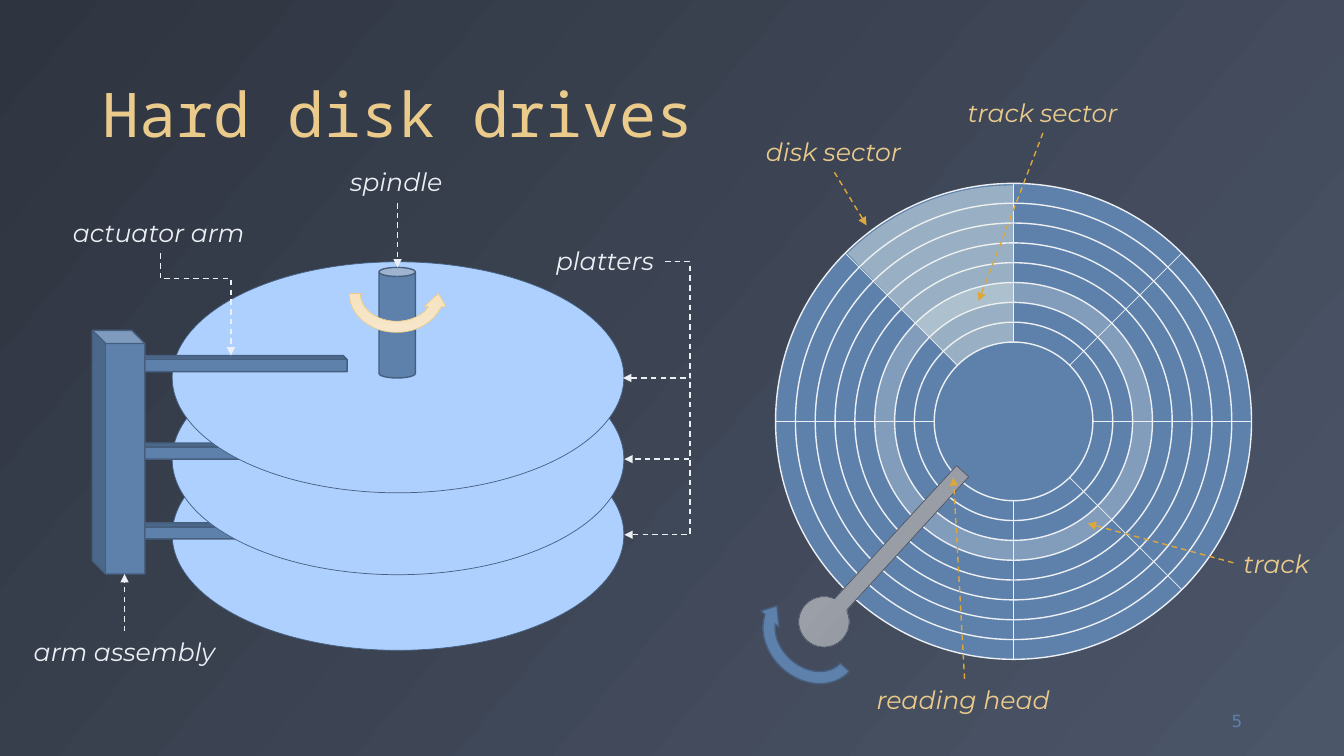
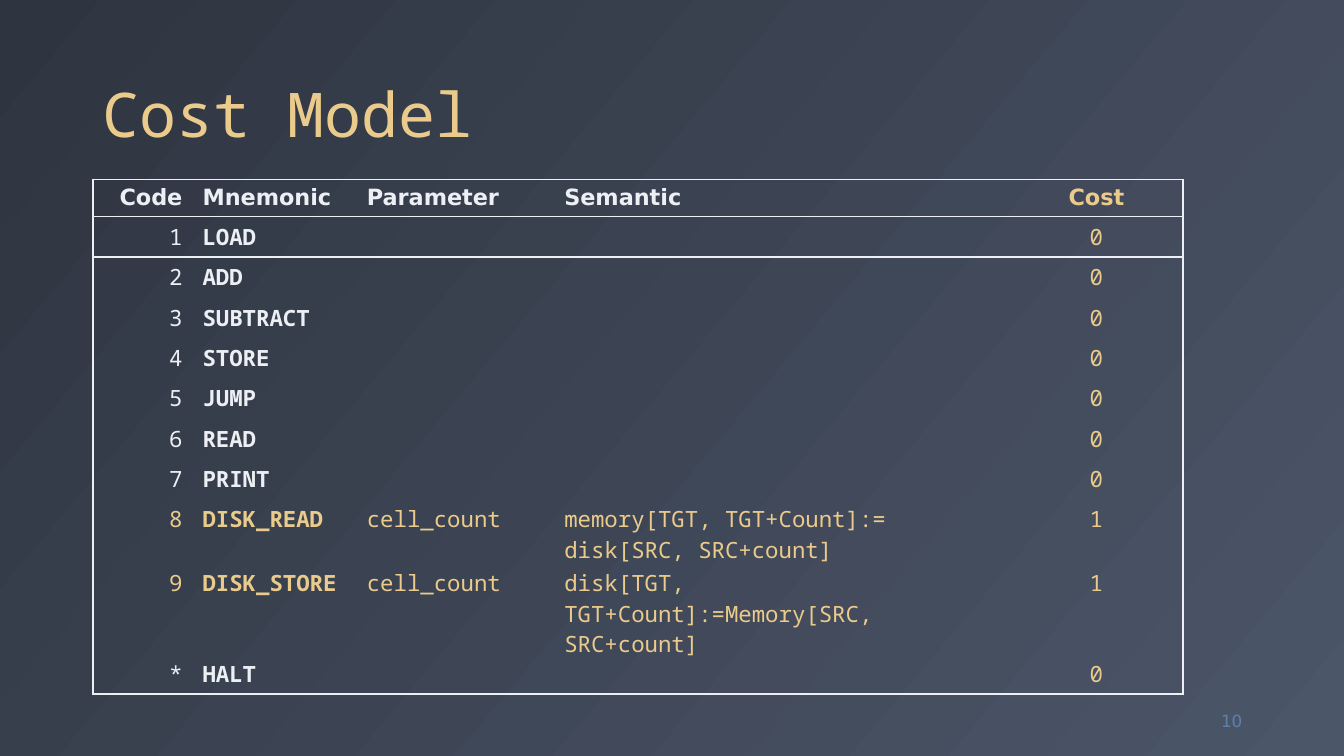
from math import cos, radians, sin

from lxml.etree import SubElement
from pptx import Presentation
from pptx.dml.color import RGBColor
from pptx.enum.dml import MSO_LINE
from pptx.enum.shapes import MSO_CONNECTOR as Connector, MSO_SHAPE as Preset
from pptx.enum.text import MSO_ANCHOR as Anchor, MSO_AUTO_SIZE as AutoSize, PP_ALIGN as Align
from pptx.oxml.ns import qn
from pptx.util import Pt

COLORS = {
    "night": "2E3440", "slate": "4C5669", "snow": "ECEFF3", "gold": "EBCB8B",
    "amber": "DDA73B", "blue": "5E81AC", "navy": "465F7F", "platter": "AED0FF",
    "mist": "EDF2E8", "cream": "F7E7CB", "sand": "F4DDB1",
    "silver": "A8ABB2", "steel": "8A8F99",
}
TITLE_FONT = CODE_FONT = "Noto Sans Mono"
PLAIN_FONT = "DejaVu Sans"
LABEL_FONT = "Montserrat"
NO_TABLE_STYLE = "{2D5ABB26-0587-4C30-8999-92F81FD0307C}"

LABELS = [
    ("spindle", 243, 115, 81, "snow"),
    ("arm assembly", 17, 451, 146, "snow"),
    ("actuator arm", 45, 152, 139, "snow"),
    ("platters", 390, 172, 86, "snow"),
    ("disk sector", 540, 94, 112, "gold"),
    ("track", 881, 388, 63, "gold"),
    ("track sector", 684, 66, 123, "gold"),
    ("reading head", 619, 485, 140, "gold"),
]
ARROWS = [
    ((284, 145), (284, 191), "snow"),
    ((89, 451), (89, 410), "snow"),
    ((596, 123), (619, 161), "amber"),
    ((881, 402), (777, 374), "amber"),
    ((745, 95), (699, 215), "amber"),
    ((689, 485), (681, 341), "amber"),
]
PLATTERS = [(299.5, 297.5), (245.5, 240.5), (187, 178)]  # platter top, arm top
PLATTER_TIPS = [(445, 270), (446, 328), (446, 382)]

DISK_CENTER = (724, 301)
DISK_RADIUS = 170
RING_STEP = DISK_RADIUS / 12
RING_COUNT = 8
TRACK_RING = 5
HUB_RADIUS = DISK_RADIUS - RING_COUNT * RING_STEP

HEADERS = ["Code", "Mnemonic", "Parameter", "Semantic", "Cost"]
INSTRUCTIONS = [
    *[(str(code), name, "", "", "0") for code, name in enumerate(
        ["LOAD", "ADD", "SUBTRACT", "STORE", "JUMP", "READ", "PRINT"], start=1)],
    ("8", "DISK_READ", "cell_count", "memory[TGT, TGT+Count]:= disk[SRC, SRC+count]", "1"),
    ("9", "DISK_STORE", "cell_count", "disk[TGT, TGT+Count]:=Memory[SRC, SRC+count]", "1"),
    ("*", "HALT", "", "", "0"),
]
COLUMN_WIDTHS = [71.3, 117.4, 141, 325.4, 123.8]
COLUMN_ALIGNS = [Align.RIGHT, Align.LEFT, Align.LEFT, Align.LEFT, Align.CENTER]


def rgb(name):
    return RGBColor.from_string(COLORS[name])


def fill_gradient(fill, first, last, clockwise):
    fill.gradient()
    fill.gradient_angle = (360 - clockwise) % 360
    for stop, name in zip(fill.gradient_stops, (first, last)):
        stop.color.rgb = rgb(name)


def add_run(paragraph, text, font, size, color, bold=False, italic=False):
    run = paragraph.add_run()
    run.text = text
    run.font.name = font
    run.font.size = Pt(size)
    run.font.bold = bold
    run.font.italic = italic
    run.font.color.rgb = rgb(color)


def set_line(shape, color, width):
    if color is None:
        shape.line.fill.background()
    else:
        shape.line.color.rgb = rgb(color)
        shape.line.width = Pt(width)


def add_preset(slide, preset, left, top, width, height, fill="blue", line="navy",
               line_width=1, rotation=0, alpha=None, flip_vertical=False):
    """Add a preset shape; alpha is the opacity of its fill in percent."""
    shape = slide.shapes.add_shape(preset, Pt(left), Pt(top), Pt(width), Pt(height))
    shape.shadow.inherit = False
    shape.rotation = rotation
    shape.fill.solid()
    shape.fill.fore_color.rgb = rgb(fill)
    set_line(shape, line, line_width)
    properties = shape._element.spPr
    if alpha is not None:
        color = properties.find(qn("a:solidFill")).find(qn("a:srgbClr"))
        SubElement(color, qn("a:alpha")).set("val", str(alpha * 1000))
    if flip_vertical:
        properties.find(qn("a:xfrm")).set("flipV", "1")
    return shape


def add_circle(slide, center, radius, **style):
    x, y = center
    return add_preset(slide, Preset.OVAL, x - radius, y - radius,
                      2 * radius, 2 * radius, **style)


def add_line(slide, start, end, color, width, kind=Connector.STRAIGHT):
    connector = slide.shapes.add_connector(
        kind, Pt(start[0]), Pt(start[1]), Pt(end[0]), Pt(end[1]))
    set_line(connector, color, width)
    SubElement(connector._element.spPr, qn("a:effectLst"))
    return connector


def add_arrow(slide, start, end, color, kind=Connector.STRAIGHT):
    connector = add_line(slide, start, end, color, 1, kind)
    connector.line.dash_style = MSO_LINE.DASH
    line = connector._element.spPr.find(qn("a:ln"))
    SubElement(line, qn("a:tailEnd")).set("type", "triangle")
    return connector


def set_bend(connector, fraction):
    """Place the middle leg of an elbow at a fraction of its length."""
    geometry = connector._element.spPr.find(qn("a:prstGeom"))
    values = geometry.find(qn("a:avLst"))
    if values is None:
        values = SubElement(geometry, qn("a:avLst"))
    guide = SubElement(values, qn("a:gd"))
    guide.set("name", "adj1")
    guide.set("fmla", f"val {round(fraction * 100000)}")


def add_side_elbow(slide, start, end, bend_x):
    connector = add_arrow(slide, start, end, "snow", Connector.ELBOW)
    set_bend(connector, (bend_x - start[0]) / (end[0] - start[0]))


def add_down_elbow(slide, start, end, bend_y):
    """Add an elbow that leaves and arrives vertically: a turned, mirrored one."""
    center_x, center_y = (start[0] + end[0]) / 2, (start[1] + end[1]) / 2
    half_x, half_y = (end[0] - start[0]) / 2, (end[1] - start[1]) / 2
    connector = add_arrow(slide, (center_x + half_y, center_y - half_x),
                          (center_x - half_y, center_y + half_x), "snow", Connector.ELBOW)
    connector._element.spPr.find(qn("a:xfrm")).set("rot", str(270 * 60000))
    set_bend(connector, (bend_y - start[1]) / (end[1] - start[1]))


def add_label(slide, text, left, top, width, color):
    box = slide.shapes.add_textbox(Pt(left), Pt(top), Pt(width), Pt(29))
    frame = box.text_frame
    frame.word_wrap = False
    frame.auto_size = AutoSize.SHAPE_TO_FIT_TEXT
    add_run(frame.paragraphs[0], text, LABEL_FONT, 18, color, italic=True)


def add_page_number(slide, number):
    frame = slide.shapes.add_textbox(Pt(834.5), Pt(500.4), Pt(60), Pt(29)).text_frame
    frame.word_wrap = True
    frame.vertical_anchor = Anchor.MIDDLE
    paragraph = frame.paragraphs[0]
    paragraph.alignment = Align.RIGHT
    add_run(paragraph, str(number), PLAIN_FONT, 12, "blue")


def prepare_layout(presentation):
    """Give the master its background and the layout its title place."""
    fill_gradient(presentation.slide_master.background.fill, "night", "slate", 40)
    layout = presentation.slide_layouts.get_by_name("Title Only")
    title = layout.placeholders[0]
    title.left, title.top, title.width, title.height = Pt(66), Pt(13), Pt(828), Pt(98)
    title.text_frame.vertical_anchor = Anchor.BOTTOM
    return layout


def add_titled_slide(presentation, layout, title, number):
    slide = presentation.slides.add_slide(layout)
    frame = slide.shapes.title.text_frame
    frame.auto_size = AutoSize.NONE
    paragraph = frame.paragraphs[0]
    paragraph.alignment = Align.LEFT
    paragraph.line_spacing = 0.9
    add_run(paragraph, title, TITLE_FONT, 44, "gold")
    add_page_number(slide, number)
    return slide


def draw_platter_stack(slide):
    for platter_top, arm_top in PLATTERS:
        add_preset(slide, Preset.OVAL, 123, platter_top, 322.6, 165,
                   fill="platter", line_width=0.5)
        add_preset(slide, Preset.CUBE, 160.5, arm_top, 11.5, 163.4, rotation=270)
    add_preset(slide, Preset.CAN, 270.7, 191, 26, 79)
    add_preset(slide, Preset.CUBE, 66, 236, 37.5, 174, rotation=180, flip_vertical=True)
    spin = add_preset(slide, Preset.CIRCULAR_ARROW, 245.5, 178, 75.6, 63.4,
                      line="gold", line_width=0.5, flip_vertical=True)
    fill_gradient(spin.fill, "cream", "sand", 90)


def draw_disk(slide):
    center_x, center_y = DISK_CENTER
    for ring in range(RING_COUNT):
        track = {"fill": "mist", "alpha": 25} if ring == TRACK_RING else {}
        add_circle(slide, DISK_CENTER, DISK_RADIUS - ring * RING_STEP, line="snow", **track)
    for degrees in range(0, 360, 45):
        across, down = cos(radians(degrees)), sin(radians(degrees))
        inner, outer = [(center_x + radius * across, center_y + radius * down)
                        for radius in (HUB_RADIUS, DISK_RADIUS)]
        add_line(slide, inner, outer, "snow", 0.5)
    sector = add_preset(slide, Preset.PIE, 555, 132.5, 337, 340,
                        fill="mist", line=None, alpha=41)
    sector.adjustments[0] = 135.49
    sector.adjustments[1] = 162
    add_circle(slide, DISK_CENTER, HUB_RADIUS, line="snow")


def draw_reading_head(slide):
    pivot_x, pivot_y, radius = 588.6, 444.2, 18
    outline = [(683.3, 332.6), (692, 340.6), (605, 435.6)]
    outline += [(pivot_x + radius * cos(radians(degrees)),
                 pivot_y + radius * sin(radians(degrees)))
                for degrees in range(-23, 290, 8)]
    outline.append((596.2, 427.7))
    points = [(Pt(x), Pt(y)) for x, y in outline]
    builder = slide.shapes.build_freeform(*points[0])
    builder.add_line_segments(points[1:], close=True)
    head = builder.convert_to_shape()
    head.shadow.inherit = False
    fill_gradient(head.fill, "silver", "steel", 42)
    set_line(head, "slate", 0.5)
    add_preset(slide, Preset.CIRCULAR_ARROW, 537.8, 419.8, 82.8, 69.8, rotation=222.2)


def set_borders(cell, sides):
    properties = cell._tc.get_or_add_tcPr()
    for side in "LRTB":
        if side in sides:
            line = SubElement(properties, qn(f"a:ln{side}"), w=str(Pt(1.5)))
            color = SubElement(SubElement(line, qn("a:solidFill")), qn("a:srgbClr"))
            color.set("val", COLORS["snow"])


def draw_cost_table(slide):
    rows = [HEADERS, *INSTRUCTIONS]
    last_row, last_column = len(rows) - 1, len(HEADERS) - 1
    table = slide.shapes.add_table(
        len(rows), len(HEADERS), Pt(66.2), Pt(128.2),
        Pt(sum(COLUMN_WIDTHS)), Pt(25.2 + 28 * last_row)).table
    table._tbl.tblPr.find(qn("a:tableStyleId")).text = NO_TABLE_STYLE
    table.first_row = table.horz_banding = False
    for column, width in zip(table.columns, COLUMN_WIDTHS):
        column.width = Pt(width)
    for row_index, values in enumerate(rows):
        table.rows[row_index].height = Pt(28 if row_index else 25.2)
        is_header = row_index == 0
        is_disk_row = values[1].startswith("DISK")
        row_sides = ("T" if row_index < 2 else "") + ("B" if row_index in (0, 1, last_row) else "")
        for column_index, value in enumerate(values):
            cell = table.cell(row_index, column_index)
            sides = row_sides + {0: "L", last_column: "R"}.get(column_index, "")
            set_borders(cell, sides)
            cell.fill.background()
            paragraph = cell.text_frame.paragraphs[0]
            paragraph.alignment = COLUMN_ALIGNS[column_index]
            is_gold = is_disk_row or column_index == last_column
            add_run(paragraph, value, PLAIN_FONT if is_header else CODE_FONT, 16,
                    "gold" if is_gold else "snow", bold=is_header or column_index == 1)


def main():
    presentation = Presentation()
    presentation.slide_width, presentation.slide_height = Pt(960), Pt(540)
    layout = prepare_layout(presentation)

    drives = add_titled_slide(presentation, layout, "Hard disk drives", 5)
    draw_platter_stack(drives)
    draw_disk(drives)
    draw_reading_head(drives)
    for label in LABELS:
        add_label(drives, *label)
    for arrow in ARROWS:
        add_arrow(drives, *arrow)
    for tip in PLATTER_TIPS:
        add_side_elbow(drives, (475, 187), tip, 493)
    add_down_elbow(drives, (114.5, 181), (165, 254), 199)

    costs = add_titled_slide(presentation, layout, "Cost Model", 10)
    draw_cost_table(costs)
    presentation.save("out.pptx")


if __name__ == "__main__":
    main()
